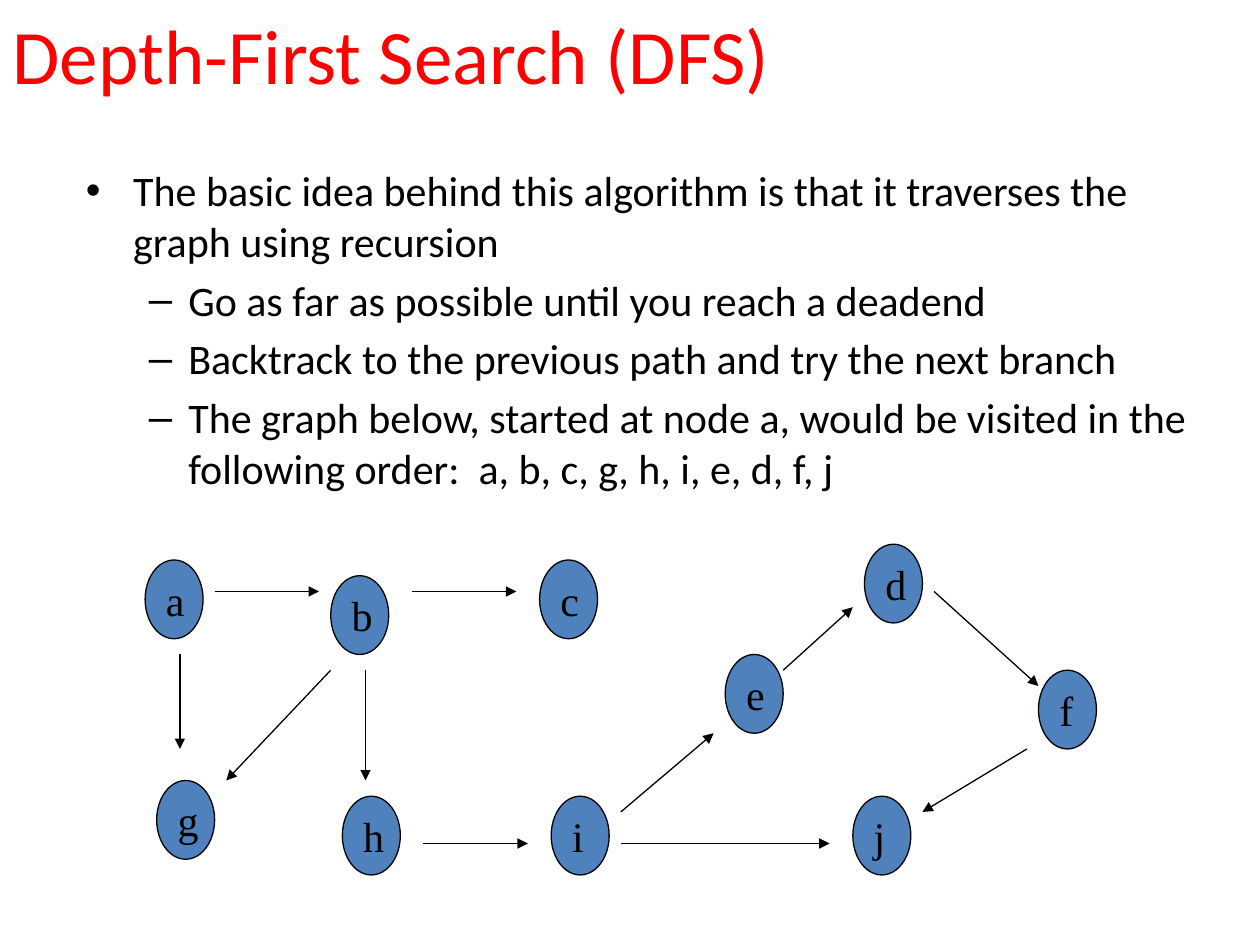
from lxml import etree
from pptx import Presentation
from pptx.dml import color
from pptx.enum import shapes, text
from pptx.oxml import ns
from pptx.util import Pt

COLOURS = {"title": "FF0000", "ink": "000000", "node": "4F81BD"}
GRID_LEFT, GRID_TOP = 82.9, 311
COLUMN, ROW = 6.63, 9
NODE_SPAN = 5

IDEAS = [
    (0, "The basic idea behind this algorithm is that it traverses the graph using recursion"),
    (1, "Go as far as possible until you reach a deadend"),
    (1, "Backtrack to the previous path and try the next branch"),
    (1, "The graph below, started at node a, would be visited in the following order:  "
        "a, b, c, g, h, i, e, d, f, j"),
]
BULLETS = [("•", 27, -27), ("–", 58.5, -22.5)]
NODES = {
    "a": (0, 1), "b": (16, 2), "c": (34, 1), "d": (62, 0), "e": (50, 7),
    "f": (77, 8), "g": (1, 15), "h": (17, 16), "i": (35, 16), "j": (61, 16),
}
EDGES = [
    ((6, 3), (15, 3)), ((23, 3), (32, 3)), ((68, 3), (77, 9)),
    ((24, 19), (33, 19)), ((16, 8), (7, 15)), ((19, 8), (19, 15)),
    ((41, 17), (49, 12)), ((55, 8), (61, 4)), ((76, 13), (67, 17)),
    ((41, 19), (59, 19)), ((3, 7), (3, 13)),
]


def apply(target, formats):
    for name, value in formats.items():
        setattr(target, name, value)


def rgb(name):
    return color.RGBColor.from_string(COLOURS[name])


def grid_point(column, row):
    return Pt(GRID_LEFT + column * COLUMN), Pt(GRID_TOP + row * ROW)


def add_child(parent, tag, **attributes):
    return etree.SubElement(parent, ns.qn(tag), attributes)


def write(paragraph, words, size, font, colour):
    paragraph.alignment = text.PP_ALIGN.LEFT
    run = paragraph.add_run()
    run.text = words
    apply(run.font, {"size": Pt(size), "name": font})
    run.font.color.rgb = rgb(colour)


def outline(line):
    line.width = Pt(0.75)
    line.color.rgb = rgb("ink")


def set_title(slide, words):
    title = slide.shapes.title
    apply(title, {"left": Pt(0), "top": Pt(-14.4), "width": Pt(648), "height": Pt(90)})
    title.text_frame.vertical_anchor = text.MSO_ANCHOR.MIDDLE
    write(title.text_frame.paragraphs[0], words, 44, "Calibri", "title")


def add_ideas(slide):
    frame = slide.shapes.add_textbox(Pt(42), Pt(90.7), Pt(648.7), Pt(224)).text_frame
    frame.word_wrap = True
    for index, (level, words) in enumerate(IDEAS):
        paragraph = frame.add_paragraph() if index else frame.paragraphs[0]
        apply(paragraph, {"level": level, "space_before": Pt(4.8)})
        write(paragraph, words, 24, "Calibri", "ink")
        mark, margin, indent = BULLETS[level]
        properties = paragraph._p.get_or_add_pPr()
        properties.set("marL", str(Pt(margin)))
        properties.set("indent", str(Pt(indent)))
        add_child(properties, "a:buFont", typeface="Arial")
        add_child(properties, "a:buChar", char=mark)


def add_node(slide, letter, column, row):
    left, top = grid_point(column, row)
    node = slide.shapes.add_shape(
        shapes.MSO_SHAPE.OVAL, left, top, Pt(NODE_SPAN * COLUMN), Pt(NODE_SPAN * ROW))
    node.shadow.inherit = False
    node.fill.solid()
    node.fill.fore_color.rgb = rgb("node")
    outline(node.line)
    apply(node.text_frame, {"word_wrap": False, "vertical_anchor": text.MSO_ANCHOR.MIDDLE})
    write(node.text_frame.paragraphs[0], letter, 24, "Times New Roman", "ink")


def add_edge(slide, start, end):
    edge = slide.shapes.add_connector(
        shapes.MSO_CONNECTOR.STRAIGHT, *grid_point(*start), *grid_point(*end))
    outline(edge.line)
    add_child(edge.line._get_or_add_ln(), "a:tailEnd", type="triangle")
    add_child(edge._element.spPr, "a:effectLst")


def main():
    deck = Presentation()
    apply(deck, {"slide_width": Pt(720), "slide_height": Pt(540)})
    slide = deck.slides.add_slide(deck.slide_layouts[5])
    set_title(slide, "Depth-First Search (DFS)")
    add_ideas(slide)
    for letter, cell in NODES.items():
        add_node(slide, letter, *cell)
    for start, end in EDGES:
        add_edge(slide, start, end)
    deck.save("out.pptx")


main()
